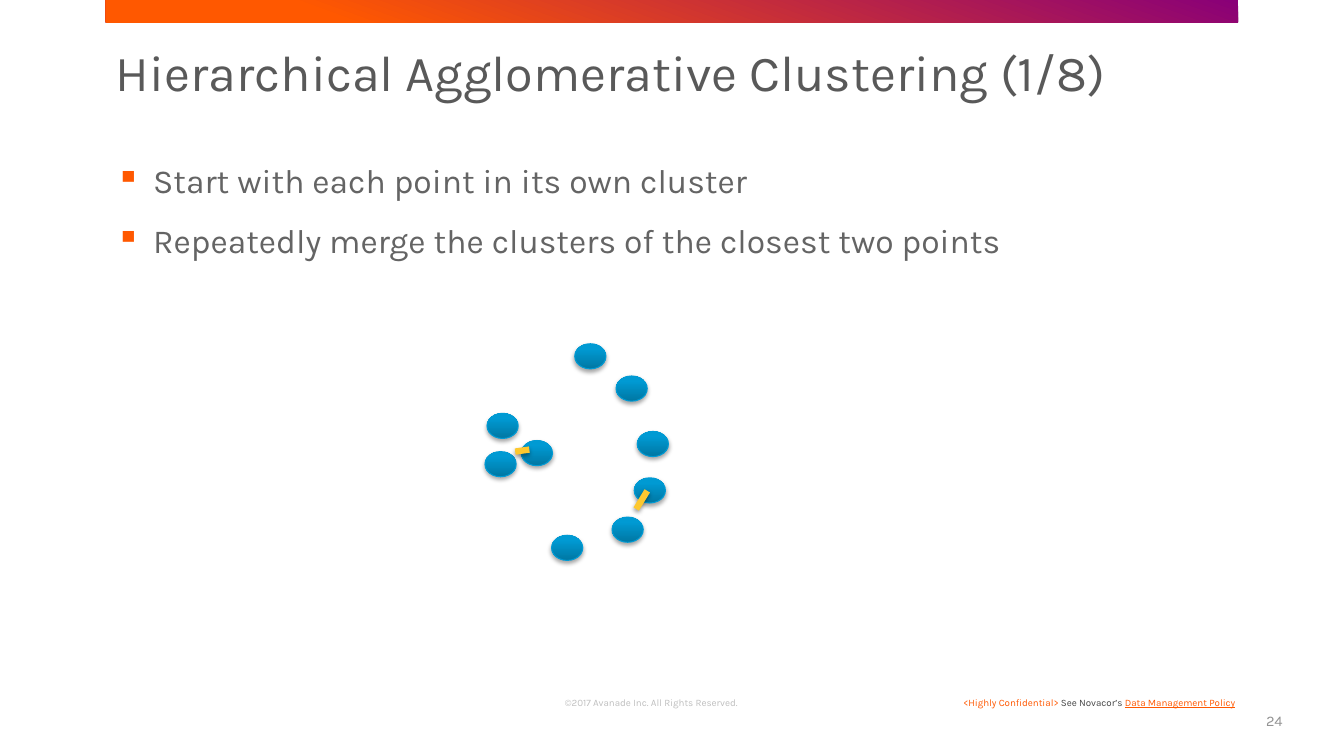
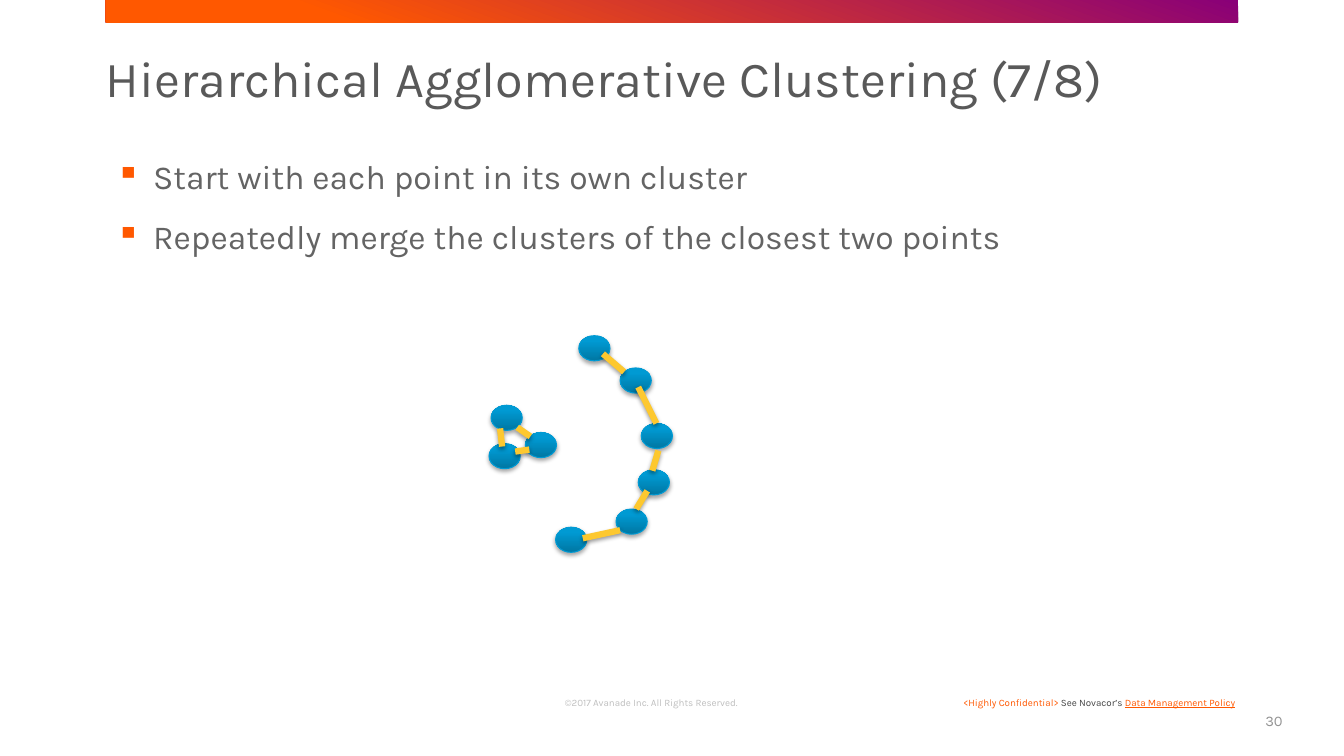
"""Build two slides that illustrate hierarchical agglomerative clustering."""
import lxml.etree
import pptx
import pptx.dml.color
import pptx.enum.shapes
import pptx.enum.text
import pptx.oxml.ns
import pptx.util

PX = 9144
FONT = "Karla"
COLORS = {
    "purple": "890078", "orange": "FF5800", "title": "595959", "body": "646464",
    "copyright": "BFBFBF", "policy": "464646", "number": "939393",
    "point_dark": "0077A3", "point_light": "009AD3", "point_line": "009BD5",
    "link": "FDC82F", "shadow": "000000",
}
ALIGN = pptx.enum.text.PP_ALIGN
ANCHOR = pptx.enum.text.MSO_ANCHOR
SHAPE = pptx.enum.shapes.MSO_SHAPE

BULLETS = [
    "Start with each point in its own cluster",
    "Repeatedly merge the clusters of the closest two points",
]
POINT_SIZE = (31, 25)
POINTS = [
    (130, 32), (151, 87), (148, 133), (126, 172), (66, 190),
    (2, 69), (0, 107), (36, 96), (89, 0),
]
LINK_ORIGIN = (485, 333)
LINKS = [
    ((146, 172), (157, 154)), ((26, 115), (40, 113)),
    ((13, 110), (11, 92)), ((41, 100), (28, 91)),
    ((162, 134), (168, 114)), ((134, 36), (113, 18)),
    ((130, 193), (93, 201)), ((166, 87), (148, 51)),
]
SLIDES = [
    {"step": 1, "title": (115, 48), "bullets": (105, 154),
     "points": (481, 341), "links": 2, "number": 24},
    {"step": 7, "title": (105, 54), "bullets": (105, 150),
     "points": (485, 333), "links": 8, "number": 30},
]


def px(*lengths):
    """Turn px lengths into EMU."""
    return [length * PX for length in lengths]


def rgb(name):
    """Look up a named colour."""
    return pptx.dml.color.RGBColor.from_string(COLORS[name])


def add_child(parent, tag, **attributes):
    """Append a DrawingML element with the given attributes."""
    child = lxml.etree.SubElement(parent, pptx.oxml.ns.qn("a:" + tag))
    for name, value in attributes.items():
        child.set(name, str(value))
    return child


def add_shadow(shape, alpha, distance):
    """Give a shape or connector a soft shadow straight below it."""
    effects = add_child(shape._element.spPr, "effectLst")
    outer = add_child(effects, "outerShdw", blurRad=pptx.util.Pt(3),
                      dist=pptx.util.Pt(distance), dir=90 * 60000, rotWithShape=0)
    color = add_child(outer, "srgbClr", val=COLORS["shadow"])
    add_child(color, "alpha", val=alpha * 1000)


def fill_gradient(shape, first, last, angle):
    """Fill a shape with a gradient that ends at 80 percent."""
    shape.fill.gradient()
    shape.fill.gradient_angle = angle
    for stop, color, position in zip(shape.fill.gradient_stops, (first, last), (0, 0.8)):
        stop.color.rgb = rgb(color)
        stop.position = position


def add_text_frame(slide, box, anchor=ANCHOR.TOP, inset=True):
    """Add a wrapping text box and return its frame."""
    frame = slide.shapes.add_textbox(*px(*box)).text_frame
    frame.word_wrap = True
    frame.vertical_anchor = anchor
    if not inset:
        frame.margin_left = frame.margin_right = 0
        frame.margin_top = frame.margin_bottom = 0
    return frame


def style_paragraph(paragraph, size, color=None, align=ALIGN.LEFT):
    """Set the font and alignment of a paragraph."""
    paragraph.alignment = align
    paragraph.font.name = FONT
    paragraph.font.size = pptx.util.Pt(size)
    if color:
        paragraph.font.color.rgb = rgb(color)


def add_line_of_text(slide, box, text, size, color, align=ALIGN.LEFT, **frame_options):
    """Add a text box that holds a single paragraph."""
    paragraph = add_text_frame(slide, box, **frame_options).paragraphs[0]
    paragraph.text = text
    style_paragraph(paragraph, size, color, align)
    return paragraph


def add_band(slide, box):
    """Draw the gradient band along the top edge."""
    band = slide.shapes.add_shape(SHAPE.RECTANGLE, *px(*box))
    fill_gradient(band, "purple", "orange", 250)
    band.line.fill.background()
    band.shadow.inherit = False


def add_footer(slide, left, top, number):
    """Place the copyright line, policy note and slide number."""
    add_line_of_text(slide, (left + 405, top, 272, 18),
                     "©2017 Avanade Inc. All Rights Reserved.", 7, "copyright",
                     ALIGN.CENTER, anchor=ANCHOR.BOTTOM, inset=False)
    paragraph = add_text_frame(slide, (left + 826, top + 1, 304, 22)).paragraphs[0]
    style_paragraph(paragraph, 7, align=ALIGN.RIGHT)
    for text, color, underline in (
        ("<Highly Confidential> ", "orange", False),
        ("See Novacor’s ", "policy", False),
        ("Data Management Policy", "orange", True),
    ):
        run = paragraph.add_run()
        run.text = text
        run.font.color.rgb = rgb(color)
        run.font.underline = underline
    add_line_of_text(slide, (left + 1123, top + 10, 54, 40), str(number), 10.5,
                     "number", ALIGN.RIGHT, anchor=ANCHOR.MIDDLE)


def add_title(slide, left, top, step):
    """Place the slide title."""
    title = add_line_of_text(slide, (left, top, 1123, 100),
                             f"Hierarchical Agglomerative Clustering ({step}/8)",
                             36, "title", inset=False)
    title.line_spacing = 0.9


def add_bullets(slide, left, top):
    """Place the bulleted explanation."""
    frame = add_text_frame(slide, (left, top, 1123, 130))
    for index, text in enumerate(BULLETS):
        paragraph = frame.add_paragraph() if index else frame.paragraphs[0]
        paragraph.text = text
        properties = paragraph._p.get_or_add_pPr()
        properties.set("marL", str(37 * PX))
        properties.set("indent", str(-37 * PX))
        add_child(add_child(properties, "buClr"), "srgbClr", val=COLORS["orange"])
        add_child(properties, "buChar", char="▪")
        if index:
            paragraph.space_before = pptx.util.Pt(14)
        style_paragraph(paragraph, 24, "body")


def add_points(slide, left, top):
    """Draw the data points."""
    for x, y in POINTS:
        point = slide.shapes.add_shape(
            SHAPE.OVAL, *px(left + x, top + y, *POINT_SIZE))
        fill_gradient(point, "point_dark", "point_light", 90)
        point.line.color.rgb = rgb("point_line")
        point.line.width = pptx.util.Pt(0.75)
        add_shadow(point, 35, 1.8)


def add_links(slide, left, top, count):
    """Draw the first merges as lines between points."""
    for (x1, y1), (x2, y2) in LINKS[:count]:
        link = slide.shapes.add_connector(
            pptx.enum.shapes.MSO_CONNECTOR.STRAIGHT,
            *px(left + x1, top + y1, left + x2, top + y2))
        link.line.color.rgb = rgb("link")
        link.line.width = pptx.util.Pt(4.5)
        add_shadow(link, 38, 1.6)


def add_cluster_slide(presentation, content):
    """Build one step of the clustering sequence."""
    slide = presentation.slides.add_slide(presentation.slide_layouts[6])
    add_band(slide, (105, 0, 1123, 22))
    add_title(slide, *content["title"], content["step"])
    add_bullets(slide, *content["bullets"])
    add_points(slide, *content["points"])
    add_links(slide, *LINK_ORIGIN, content["links"])
    add_footer(slide, 105, 685, content["number"])


def main():
    """Build and save the presentation."""
    presentation = pptx.Presentation()
    presentation.slide_width, presentation.slide_height = px(1333, 750)
    for content in SLIDES:
        add_cluster_slide(presentation, content)
    presentation.save("out.pptx")


if __name__ == "__main__":
    main()
